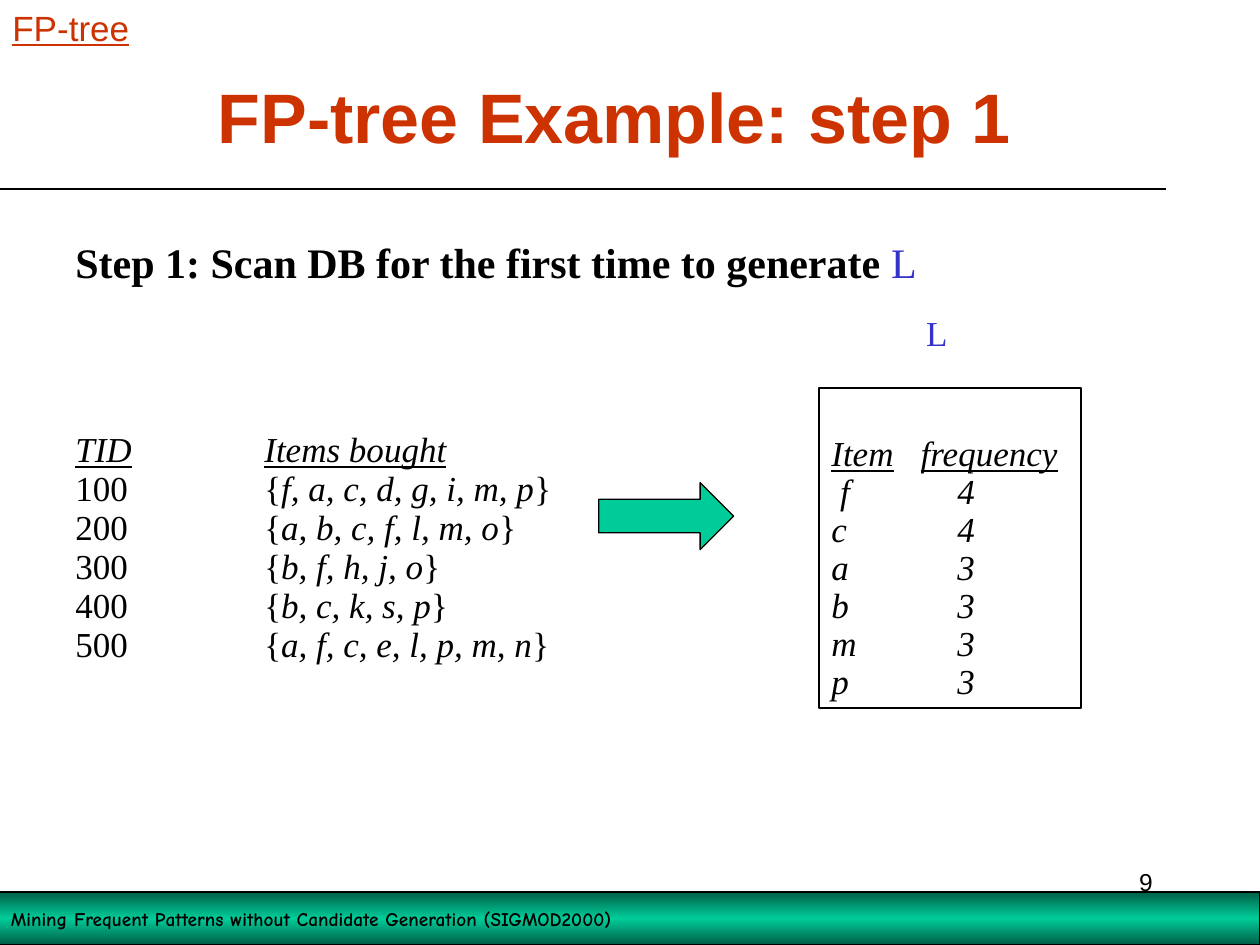
"""Build the slide on the first step of the FP-tree example."""
import copy
import dataclasses
import typing

import pptx
import pptx.dml.color
import pptx.enum.shapes
import pptx.enum.text
import pptx.oxml
import pptx.oxml.ns
import pptx.util

Cm = pptx.util.Cm
Pt = pptx.util.Pt
Color = pptx.dml.color.RGBColor
Kind = pptx.enum.shapes.MSO_SHAPE
Align = pptx.enum.text.PP_ALIGN
Anchor = pptx.enum.text.MSO_ANCHOR
Form = dict[str, typing.Any]

BLACK = Color(0x00, 0x00, 0x00)
RED = Color(0xCC, 0x33, 0x00)
BLUE = Color(0x33, 0x33, 0xCC)
GREEN = Color(0x00, 0xCC, 0x99)
DARK = Color(0x00, 0x5E, 0x46)

SANS: Form = {"name": "Arial", "size": Pt(20), "rgb": RED}
SERIF: Form = {"name": "Times New Roman", "size": Pt(20), "rgb": BLACK}
SLANT: Form = SERIF | {"italic": True}
HEAD: Form = SLANT | {"underline": True}
STEP: Form = SERIF | {"size": Pt(24)}

BASKETS = {
    100: "f, a, c, d, g, i, m, p",
    200: "a, b, c, f, l, m, o",
    300: "b, f, h, j, o",
    400: "b, c, k, s, p",
    500: "a, f, c, e, l, p, m, n",
}
COUNTS = {" f": 4, "c": 4, "a": 3, "b": 3, "m": 3, "p": 3}


@dataclasses.dataclass
class Box:
    left: float
    top: float
    width: float
    height: float

    def spans(self) -> list[int]:
        return [Cm(size) for size in dataclasses.astuple(self)]


@dataclasses.dataclass
class Run:
    text: str
    form: Form


@dataclasses.dataclass
class Row:
    runs: list[Run]
    tab: float = 0
    pitch: float = 0
    align: Align = Align.LEFT


def write(frame, rows: list[Row], **form: typing.Any) -> None:
    settings = {"word_wrap": True, "auto_size": pptx.enum.text.MSO_AUTO_SIZE.NONE}
    for key, value in (settings | form).items():
        setattr(frame, key, value)
    for index, row in enumerate(rows):
        para = frame.add_paragraph() if index else frame.paragraphs[0]
        para.alignment = row.align
        if row.pitch:
            para.line_spacing = Pt(row.pitch)
        if row.tab:
            stops = pptx.oxml.parse_xml(
                f'<a:tabLst {pptx.oxml.ns.nsdecls("a")}>'
                f'<a:tab pos="{Cm(row.tab)}" algn="l"/></a:tabLst>')
            para._p.get_or_add_pPr().append(stops)
        for item in row.runs:
            run = para.add_run()
            run.text = item.text
            for key, value in item.form.items():
                setattr(run.font.color if key == "rgb" else run.font, key, value)


def add_text(slide, box: Box, rows: list[Row], **form: typing.Any) -> None:
    write(slide.shapes.add_textbox(*box.spans()).text_frame, rows, **form)


def add_shape(slide, kind: Kind, box: Box, weight: float):
    shape = slide.shapes.add_shape(kind, *box.spans())
    shape.shadow.inherit = False
    shape.line.color.rgb = BLACK
    shape.line.width = Pt(weight)
    return shape


def add_rule(slide) -> None:
    rule = slide.shapes.add_connector(
        pptx.enum.shapes.MSO_CONNECTOR.STRAIGHT, 0, Cm(3.81), Cm(23.5), Cm(3.81))
    rule.line.color.rgb = BLACK
    rule.line.width = Pt(0.75)
    rule._element.spPr.append(
        pptx.oxml.parse_xml(f'<a:effectLst {pptx.oxml.ns.nsdecls("a")}/>'))


def add_footer(slide) -> None:
    bar = add_shape(slide, Kind.RECTANGLE, Box(-0.03, 17.98, 25.43, 1.07), 0.75)
    bar.fill.gradient()
    bar.fill.gradient_angle = 90
    first = bar._element.spPr.find(".//" + pptx.oxml.ns.qn("a:gs"))
    middle = copy.deepcopy(first)
    middle.set("pos", "50000")
    first.addnext(middle)
    for stop, color in zip(bar.fill.gradient_stops, (DARK, GREEN, DARK)):
        stop.color.rgb = color
    label = "Mining Frequent Patterns without Candidate Generation (SIGMOD2000)"
    font = {"name": "Comic Neue", "size": Pt(11), "rgb": BLACK, "bold": True}
    write(bar.text_frame, [Row([Run(label, font)])], vertical_anchor=Anchor.MIDDLE)


def add_title(slide) -> None:
    title = slide.shapes.title
    spans = Box(0, 0.84, 24.77, 2.97).spans()
    for key, value in zip(("left", "top", "width", "height"), spans):
        setattr(title, key, value)
    font = SANS | {"size": Pt(40), "bold": True}
    write(title.text_frame, [Row([Run("FP-tree Example: step 1", font)], align=Align.CENTER)],
          vertical_anchor=Anchor.MIDDLE)


def add_baskets(slide) -> None:
    lines = [[Run("TID", HEAD), Run("\t", SERIF), Run("Items bought", HEAD)]]
    lines += [[Run(f"{key}\t{{", SERIF), Run(items, SLANT), Run("}", SERIF)]
              for key, items in BASKETS.items()]
    add_text(slide, Box(1.27, 7.62, 12.07, 5.79),
             [Row(runs, tab=3.81, pitch=22.2) for runs in lines], margin_top=Cm(1.07))


def add_counts(slide) -> None:
    rows = [Row([Run("Item\tfrequency", HEAD)], tab=1.8, pitch=21.7)]
    rows += [Row([Run(f"{item}\t{count}", SLANT)], tab=2.54, pitch=21.7)
             for item, count in COUNTS.items()]
    frame = add_shape(slide, Kind.RECTANGLE, Box(16.51, 7.82, 5.28, 6.45), 1)
    frame.fill.background()
    write(frame.text_frame, rows, vertical_anchor=Anchor.TOP, margin_top=Cm(0.97))


def main() -> None:
    deck = pptx.Presentation()
    deck.slide_width, deck.slide_height = Cm(25.4), Cm(19.05)
    slide = deck.slides.add_slide(deck.slide_layouts[5])
    add_rule(slide)
    add_footer(slide)
    add_title(slide)
    add_counts(slide)
    add_baskets(slide)
    add_text(slide, Box(0, 0, 2.87, 1.12), [Row([Run("FP-tree", SANS | {"underline": True})])])
    add_text(slide, Box(18.42, 6.15, 0.94, 1.12), [Row([Run("L", SERIF | {"rgb": BLUE})])])
    add_text(slide, Box(1.27, 4.65, 19.69, 1.27), [Row([
        Run("Step 1: Scan DB for the first time to generate ", STEP | {"bold": True}),
        Run("L", STEP | {"rgb": BLUE})])])
    arrow = add_shape(slide, Kind.RIGHT_ARROW, Box(12.07, 9.73, 2.72, 1.35), 0.75)
    arrow.fill.solid()
    arrow.fill.fore_color.rgb = GREEN
    number = Run("9", SANS | {"size": Pt(14), "rgb": BLACK})
    add_text(slide, Box(18.21, 17.35, 5.28, 1.27), [Row([number], align=Align.RIGHT)])
    deck.save("out.pptx")


if __name__ == "__main__":
    main()
